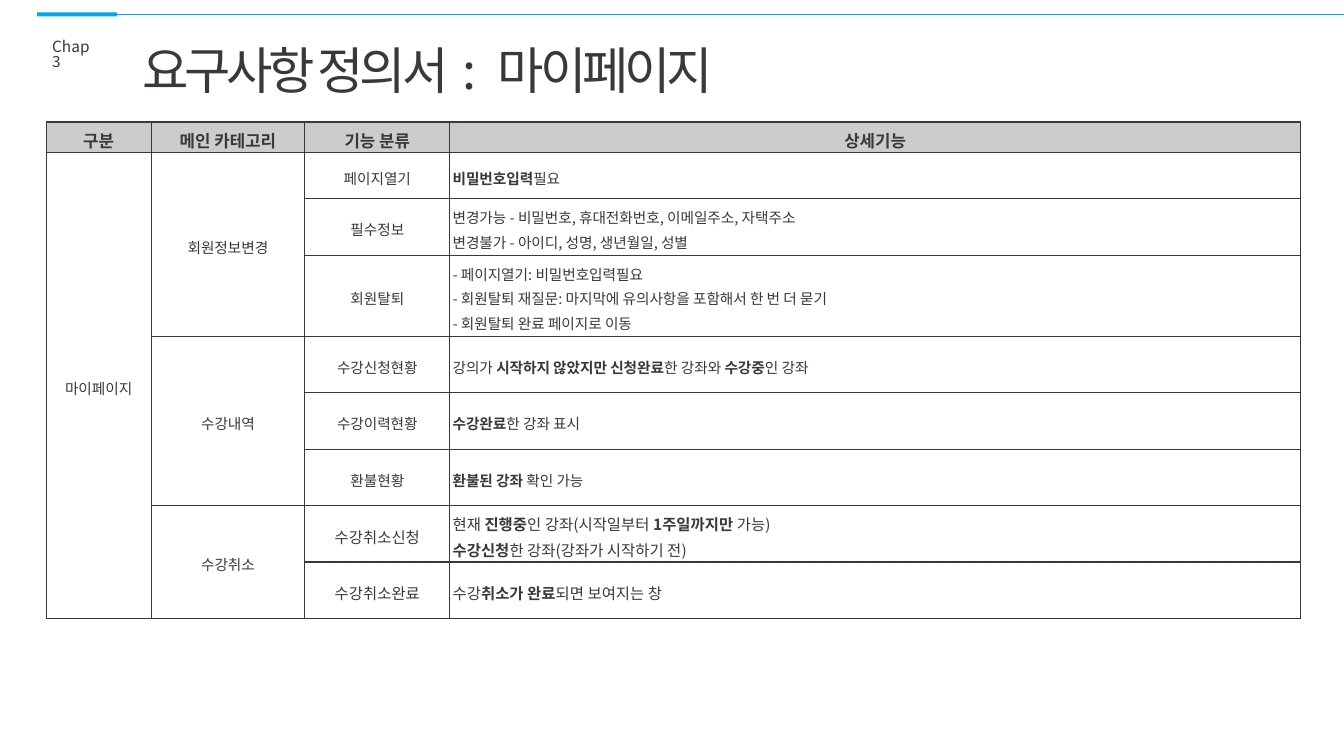
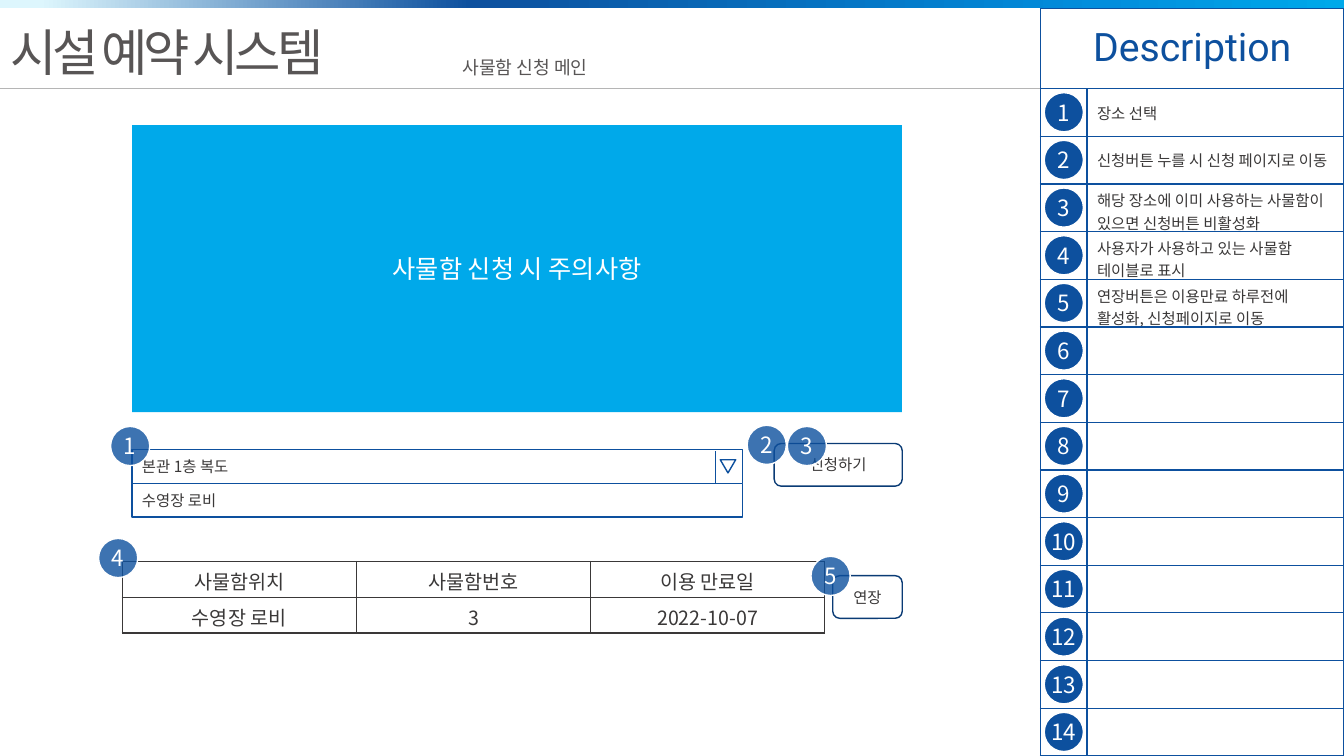
import dataclasses

import lxml.etree
import pptx
import pptx.dml.color
import pptx.enum.shapes
import pptx.enum.text
import pptx.oxml.ns
import pptx.util

Pt = pptx.util.Pt
qn = pptx.oxml.ns.qn
SHAPE = pptx.enum.shapes.MSO_SHAPE
ALIGN = pptx.enum.text.PP_ALIGN
ANCHOR = pptx.enum.text.MSO_ANCHOR


@dataclasses.dataclass(frozen=True)
class Theme:
    ink: str = "3A3838"
    gray: str = "585555"
    rule: str = "B5B5B5"
    header: str = "CCCCCC"
    white: str = "FFFFFF"
    sky: str = "00A9EA"
    blue: str = "0D509E"
    navy: str = "0A3B75"
    band: tuple = ((3, "DDF6FD"), (35, "0D509E"), (82, "018EDD"), (100, "00A9EA"))
    font: str = "Noto Sans CJK KR"
    latin: str = "Roboto"
    title: float = 36
    heading: float = 28
    banner: float = 18
    badge: float = 16
    cell: float = 14
    subtitle: float = 13
    column: float = 12
    body: float = 11
    small: float = 10.5


THEME = Theme()
PAGE_WIDTH, PAGE_HEIGHT = 960, 540
BADGE_SIZE = 28

REQUIREMENT_COLUMNS = ["구분", "메인 카테고리", "기능 분류", "상세기능"]
# Main category, then its features: name, detail lines (** marks bold), size
REQUIREMENTS = [
    ("회원정보변경", [
        ("페이지열기", ["**비밀번호입력**필요"], THEME.small),
        ("필수정보", ["변경가능 - 비밀번호, 휴대전화번호, 이메일주소, 자택주소",
                  "변경불가 - 아이디, 성명, 생년월일, 성별"], THEME.small),
        ("회원탈퇴", ["- 페이지열기: 비밀번호입력필요",
                  "- 회원탈퇴 재질문: 마지막에 유의사항을 포함해서 한 번 더 묻기",
                  "- 회원탈퇴 완료 페이지로 이동"], THEME.small),
    ]),
    ("수강내역", [
        ("수강신청현황", ["강의가 **시작하지 않았지만 신청완료**한 강좌와 **수강중**인 강좌"], THEME.small),
        ("수강이력현황", ["**수강완료**한 강좌 표시"], THEME.small),
        ("환불현황", ["**환불된 강좌** 확인 가능"], THEME.small),
    ]),
    ("수강취소", [
        ("수강취소신청", ["현재 **진행중**인 강좌(시작일부터 **1주일까지만** 가능)",
                    "**수강신청**한 강좌(강좌가 시작하기 전)"], THEME.body),
        ("수강취소완료", ["수강**취소가 완료**되면 보여지는 창"], THEME.body),
    ]),
]
DESCRIPTIONS = [
    "장소 선택",
    "신청버튼 누를 시 신청 페이지로 이동",
    "해당 장소에 이미 사용하는 사물함이 있으면 신청버튼 비활성화",
    "사용자가 사용하고 있는 사물함 테이블로 표시",
    "연장버튼은 이용만료 하루전에 활성화, 신청페이지로 이동",
]
DESCRIPTION_ROWS = 14
LOCKERS = [["사물함위치", "사물함번호", "이용 만료일"], ["수영장 로비", "3", "2022-10-07"]]


def rgb(color):
    return pptx.dml.color.RGBColor.from_string(color)


def write(frame, lines, size, color=THEME.ink, align=ALIGN.LEFT, bold=False,
          spacing=None, tracking=None, font=THEME.font):
    """Fill a text frame, one paragraph a line; ** switches bold on and off."""
    for index, line in enumerate(lines):
        para = frame.add_paragraph() if index else frame.paragraphs[0]
        para.alignment = align
        if spacing:
            para.line_spacing = spacing
        for position, text in enumerate(line.split("**")):
            if not text:
                continue
            span = para.add_run()
            span.text = text
            span.font.size = Pt(size)
            span.font.bold = bold or position % 2 == 1
            span.font.color.rgb = rgb(color)
            span.font.name = font
            properties = span.font._element
            lxml.etree.SubElement(properties, qn("a:ea"), typeface=font)
            if tracking:
                properties.set("spc", str(tracking * 100))


def set_margins(target, left, top, right, bottom):
    target.margin_left, target.margin_top = Pt(left), Pt(top)
    target.margin_right, target.margin_bottom = Pt(right), Pt(bottom)


def add_title(page, text, left, top, width, color):
    title = page.shapes.title
    title.left, title.top, title.width, title.height = Pt(left), Pt(top), Pt(width), Pt(51)
    frame = title.text_frame
    frame.word_wrap = True
    frame.auto_size = pptx.enum.text.MSO_AUTO_SIZE.NONE
    frame.vertical_anchor = ANCHOR.MIDDLE
    write(frame, [text], THEME.title, color, tracking=-3)


def add_label(page, text, left, top, width, height, size, color, spacing=None):
    box = page.shapes.add_textbox(Pt(left), Pt(top), Pt(width), Pt(height))
    box.text_frame.word_wrap = True
    write(box.text_frame, [text], size, color, spacing=spacing)


def add_block(page, kind, left, top, width, height, fill=None, line=None, text="",
              size=THEME.body, color=THEME.ink, align=ALIGN.CENTER):
    block = page.shapes.add_shape(kind, Pt(left), Pt(top), Pt(width), Pt(height))
    block.shadow.inherit = False
    if fill:
        block.fill.solid()
        block.fill.fore_color.rgb = rgb(fill)
    else:
        block.fill.background()
    if line:
        block.line.color.rgb = rgb(line)
        block.line.width = Pt(1)
    else:
        block.line.fill.background()
    if text:
        block.text_frame.vertical_anchor = ANCHOR.MIDDLE
        write(block.text_frame, [text], size, color, align)
    return block


def add_badge(page, number, left, top, opacity=100):
    badge = add_block(page, SHAPE.OVAL, left, top, BADGE_SIZE, BADGE_SIZE,
                      THEME.blue, THEME.white, str(number), THEME.badge, THEME.white)
    set_margins(badge.text_frame, 0, 0, 0, 0)
    if opacity < 100:
        fill_color = badge.element.spPr.find(qn("a:solidFill"))[0]
        lxml.etree.SubElement(fill_color, qn("a:alpha"), val=str(opacity * 1000))


def add_line(page, start, end, color, width):
    line = page.shapes.add_connector(pptx.enum.shapes.MSO_CONNECTOR.STRAIGHT,
                                     *(Pt(value) for value in (*start, *end)))
    line.line.color.rgb = rgb(color)
    line.line.width = Pt(width)
    lxml.etree.SubElement(line._element.spPr, qn("a:effectLst"))
    return line


def add_gradient_band(page):
    band = add_block(page, SHAPE.RECTANGLE, 0, 0, PAGE_WIDTH, 6)
    band.fill.gradient()
    band.fill.gradient_angle = 0
    stops = band.element.spPr.find(".//" + qn("a:gsLst"))
    for stop in list(stops):
        stops.remove(stop)
    for position, color in THEME.band:
        stop = lxml.etree.SubElement(stops, qn("a:gs"), pos=str(position * 1000))
        lxml.etree.SubElement(stop, qn("a:srgbClr"), val=color)


def add_border(cell, color):
    properties = cell._tc.get_or_add_tcPr()
    for side in ("a:lnL", "a:lnR", "a:lnT", "a:lnB"):
        edge = lxml.etree.SubElement(properties, qn(side), w=str(Pt(1)))
        fill = lxml.etree.SubElement(edge, qn("a:solidFill"))
        lxml.etree.SubElement(fill, qn("a:srgbClr"), val=color)


def add_grid(page, left, top, widths, heights, border, margins=(7.2, 3.6, 7.2, 3.6),
             anchor=ANCHOR.MIDDLE):
    """Add an unfilled table with borders all round each cell."""
    grid = page.shapes.add_table(len(heights), len(widths), Pt(left), Pt(top),
                                 Pt(sum(widths)), Pt(sum(heights))).table
    grid.first_row = grid.horz_banding = False
    for column, width in zip(grid.columns, widths):
        column.width = Pt(width)
    for row, height in zip(grid.rows, heights):
        row.height = Pt(height)
    for cell in grid.iter_cells():
        add_border(cell, border)
        cell.fill.background()
        cell.vertical_anchor = anchor
        set_margins(cell, *margins)
    return grid


def add_requirements(page):
    heights = [21.8, 33, 40.3, 58] + [40.3] * 5
    grid = add_grid(page, 33, 87.2, [75, 109.8, 103.6, 607.6], heights, THEME.ink,
                    (2, 1.4, 2, 0))

    def fill_cell(row, column, lines, size, align=ALIGN.CENTER, bold=False):
        write(grid.cell(row, column).text_frame, lines, size, align=align, bold=bold,
              spacing=1.15)

    for column, name in enumerate(REQUIREMENT_COLUMNS):
        grid.cell(0, column).fill.solid()
        grid.cell(0, column).fill.fore_color.rgb = rgb(THEME.header)
        fill_cell(0, column, [name], THEME.column, bold=True)
    grid.cell(1, 0).merge(grid.cell(len(heights) - 1, 0))
    fill_cell(1, 0, ["마이페이지"], THEME.small)
    row = 1
    for category, features in REQUIREMENTS:
        grid.cell(row, 1).merge(grid.cell(row + len(features) - 1, 1))
        fill_cell(row, 1, [category], THEME.small)
        for feature, details, size in features:
            fill_cell(row, 2, [feature], size)
            fill_cell(row, 3, details, size, ALIGN.LEFT)
            row += 1


def add_description_panel(page):
    left, top, heading_height, pitch = 743.2, 5.8, 57.5, 34.05
    grid = add_grid(page, left, top, [33.2, 183.6],
                    [heading_height] + [pitch] * DESCRIPTION_ROWS, THEME.blue)
    grid.cell(0, 0).merge(grid.cell(0, 1))
    write(grid.cell(0, 0).text_frame, ["Description"], THEME.heading, THEME.blue,
          ALIGN.CENTER, font=THEME.latin)
    for row, text in enumerate(DESCRIPTIONS, 1):
        write(grid.cell(row, 1).text_frame, [text], THEME.body)
    for index in range(DESCRIPTION_ROWS):
        add_badge(page, index + 1, left + 2.7, top + heading_height + 2.9 + index * pitch)


def add_place_menu(page):
    left, top, width, height = 94.3, 321, 436.3, 24.2
    for index, place in enumerate(["본관 1층 복도", "수영장 로비"]):
        add_block(page, SHAPE.RECTANGLE, left, top + index * height, width, height,
                  THEME.white, THEME.blue, place, align=ALIGN.LEFT)
    arrow = add_block(page, SHAPE.ISOSCELES_TRIANGLE, 514.5, 328.4, 11, 9.4,
                      THEME.white, THEME.blue)
    arrow.rotation = 180
    add_line(page, (511.2, 322.4), (511.2, 345), THEME.blue, 1)


def add_locker_table(page):
    grid = add_grid(page, 87.3, 401, [167.3] * 3, [25.6] * 2, THEME.ink,
                    (7.2, 3.6, 7.2, 0), ANCHOR.TOP)
    for row, values in enumerate(LOCKERS):
        for column, value in enumerate(values):
            write(grid.cell(row, column).text_frame, [value], THEME.cell,
                  align=ALIGN.CENTER)


def build_requirements_page(page):
    tab = add_block(page, SHAPE.RECTANGLE, 26.6, 8.8, 57, 3, THEME.sky)
    line = add_line(page, (83.6, 10.3), (PAGE_WIDTH, 10.3), THEME.sky, 0.5)
    line.begin_connect(tab, 3)
    add_label(page, "Chap 3", 30.2, 25, 45.4, 21, THEME.body, THEME.ink, spacing=0.82)
    add_title(page, "요구사항 정의서  :   마이페이지", 94.3, 23.8, 477.4, THEME.ink)
    add_requirements(page)


def build_reservation_page(page):
    add_title(page, "시설 예약 시스템", 0, 11.5, 267, THEME.gray)
    add_label(page, "사물함 신청 메인", 323.3, 36.7, 112.3, 23, THEME.subtitle, THEME.gray)
    add_description_panel(page)
    add_line(page, (0, 63.3), (743.2, 63.3), THEME.rule, 1)
    add_gradient_band(page)
    add_block(page, SHAPE.RECTANGLE, 94.3, 89.3, 550, 205.2, THEME.sky,
              text="사물함 신청 시 주의사항", size=THEME.banner, color=THEME.white)
    add_place_menu(page)
    add_locker_table(page)
    for text, left, top, width in [("신청하기", 553, 316.8, 91.5), ("연장", 594.8, 411.2, 49.7)]:
        add_block(page, SHAPE.ROUNDED_RECTANGLE, left, top, width, 30.5,
                  line=THEME.navy, text=text)
    badge_places = [(79, 304.6), (533.7, 303.8), (562.4, 304.6), (70.4, 384.6), (579.3, 397.4)]
    for number, (left, top) in enumerate(badge_places, 1):
        add_badge(page, number, left, top, opacity=80)


def main():
    deck = pptx.Presentation()
    deck.slide_width, deck.slide_height = Pt(PAGE_WIDTH), Pt(PAGE_HEIGHT)
    title_only = deck.slide_layouts[5]
    for build in (build_requirements_page, build_reservation_page):
        build(deck.slides.add_slide(title_only))
    deck.save("out.pptx")


if __name__ == "__main__":
    main()
